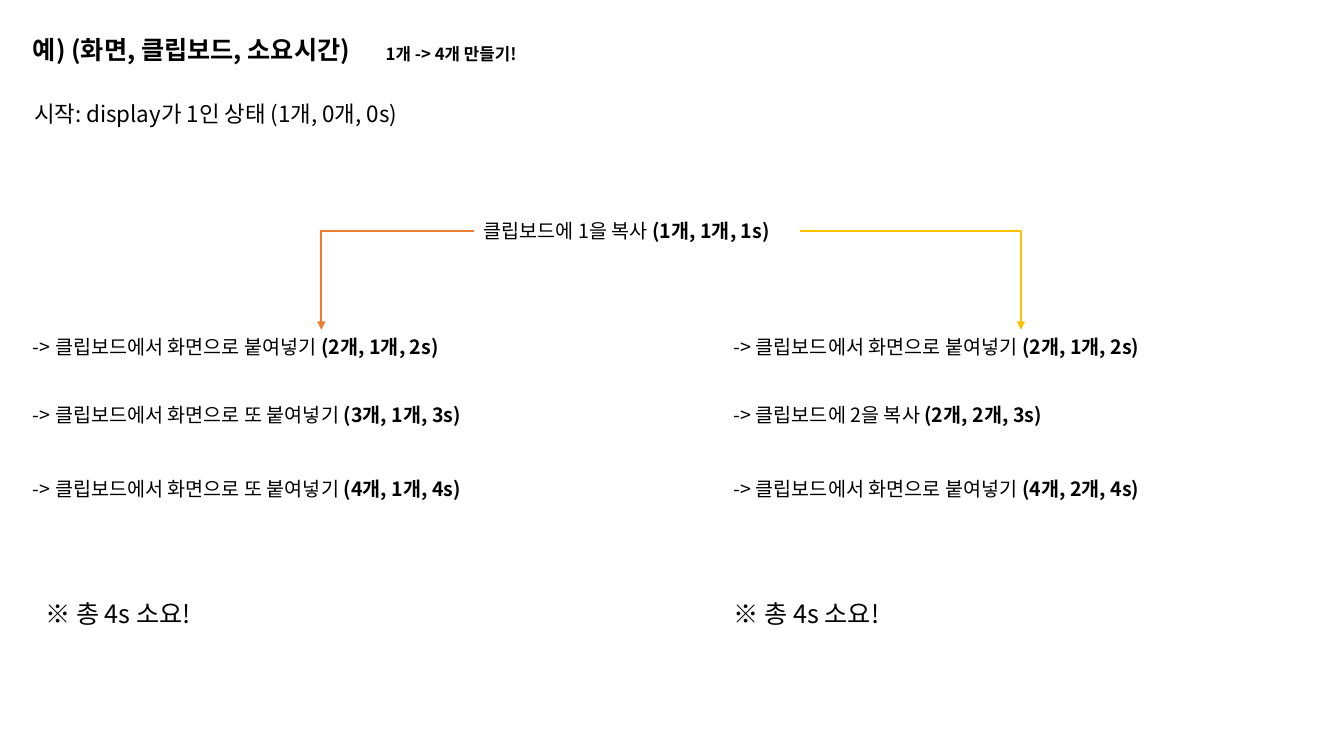
from lxml.etree import SubElement
from pptx import Presentation
from pptx.dml.color import RGBColor
from pptx.enum.shapes import MSO_CONNECTOR
from pptx.enum.text import MSO_AUTO_SIZE as AutoSize
from pptx.oxml.ns import qn
from pptx.util import Cm, Pt

FONT = "Noto Sans CJK KR"
COLORS = {"text": "000000", "paste_path": "ED7D31", "copy_path": "FFC000"}

# Each text: left, top, width, height in cm, size in points, (plain, bold) wording
HEADINGS = [
    (0.58, 0.74, 9.19, 1.02, 18, ("", "예) (화면, 클립보드, 소요시간)")),
    (9.47, 0.99, 3.78, 0.76, 12, ("", "1개 -> 4개 만들기!")),
    (0.61, 2.41, 9.86, 0.94, 16, ("시작: display가 1인 상태 (1개, 0개, 0s) ", "")),
    (11.94, 5.38, 8.23, 0.86, 14, ("클립보드에 1을 복사 ", "(1개, 1개, 1s) ")),
]
PASTE = "-> 클립보드에서 화면으로 붙여넣기 "
PASTE_AGAIN = "-> 클립보드에서 화면으로 또 붙여넣기 "
COPY_TWO = "-> 클립보드에 2을 복사 "
TOTAL = ("※ 총 4s 소요!", "")

# Each branch: left of its steps, left of its total, steps
BRANCHES = [
    (0.58, 0.89, [(PASTE, "(2개, 1개, 2s)"),
                  (PASTE_AGAIN, "(3개, 1개, 3s)"),
                  (PASTE_AGAIN, "(4개, 1개, 4s)")]),
    (18.24, 18.24, [(PASTE, "(2개, 1개, 2s)"),
                    (COPY_TWO, "(2개, 2개, 3s)"),
                    (PASTE, "(4개, 2개, 4s)")]),
]
STEP_TOPS = (8.31, 10.03, 11.89)
TOTAL_TOP = 14.94

# Each arrow: start x, end x, colour
ARROWS = [(20.17, 25.73, "copy_path"), (11.94, 8.1, "paste_path")]
ARROW_TOP, ARROW_BOTTOM = 5.82, 8.31


def add_text(slide, left, top, width, height, size, wording):
    """Add a text box with a plain part followed by a bold part."""
    box = slide.shapes.add_textbox(Cm(left), Cm(top), Cm(width), Cm(height))
    frame = box.text_frame
    frame.word_wrap = True
    frame.auto_size = AutoSize.SHAPE_TO_FIT_TEXT
    paragraph = frame.paragraphs[0]
    for text, bold in zip(wording, (False, True)):
        if not text:
            continue
        run = paragraph.add_run()
        run.text = text
        font_format = {"size": Pt(size), "bold": bold, "name": FONT}
        for name, value in font_format.items():
            setattr(run.font, name, value)
        run.font.color.rgb = RGBColor.from_string(COLORS["text"])
        east_asian = SubElement(run.font._element, qn("a:ea"))
        east_asian.set("typeface", FONT)


def add_arrow(slide, start, end, color):
    """Add an arrow that runs sideways and then turns down once."""
    arrow = slide.shapes.add_connector(
        MSO_CONNECTOR.ELBOW, Cm(start), Cm(ARROW_TOP), Cm(end), Cm(ARROW_BOTTOM))
    arrow.line.color.rgb = RGBColor.from_string(COLORS[color])
    arrow.line.width = Pt(1.5)
    properties = arrow.element.spPr
    properties.find(qn("a:prstGeom")).set("prst", "bentConnector2")
    SubElement(properties.find(qn("a:ln")), qn("a:tailEnd")).set("type", "triangle")
    SubElement(properties, qn("a:effectLst"))


def main():
    """Build and save the slide."""
    presentation = Presentation()
    presentation.slide_width, presentation.slide_height = Cm(33.87), Cm(19.05)
    slide = presentation.slides.add_slide(presentation.slide_layouts[6])
    for heading in HEADINGS:
        add_text(slide, *heading)
    for left, total_left, steps in BRANCHES:
        for top, step in zip(STEP_TOPS, steps):
            add_text(slide, left, top, 15.04, 0.86, 14, step)
        add_text(slide, total_left, TOTAL_TOP, 4.72, 1.02, 18, TOTAL)
    for arrow in ARROWS:
        add_arrow(slide, *arrow)
    presentation.save("out.pptx")


main()
